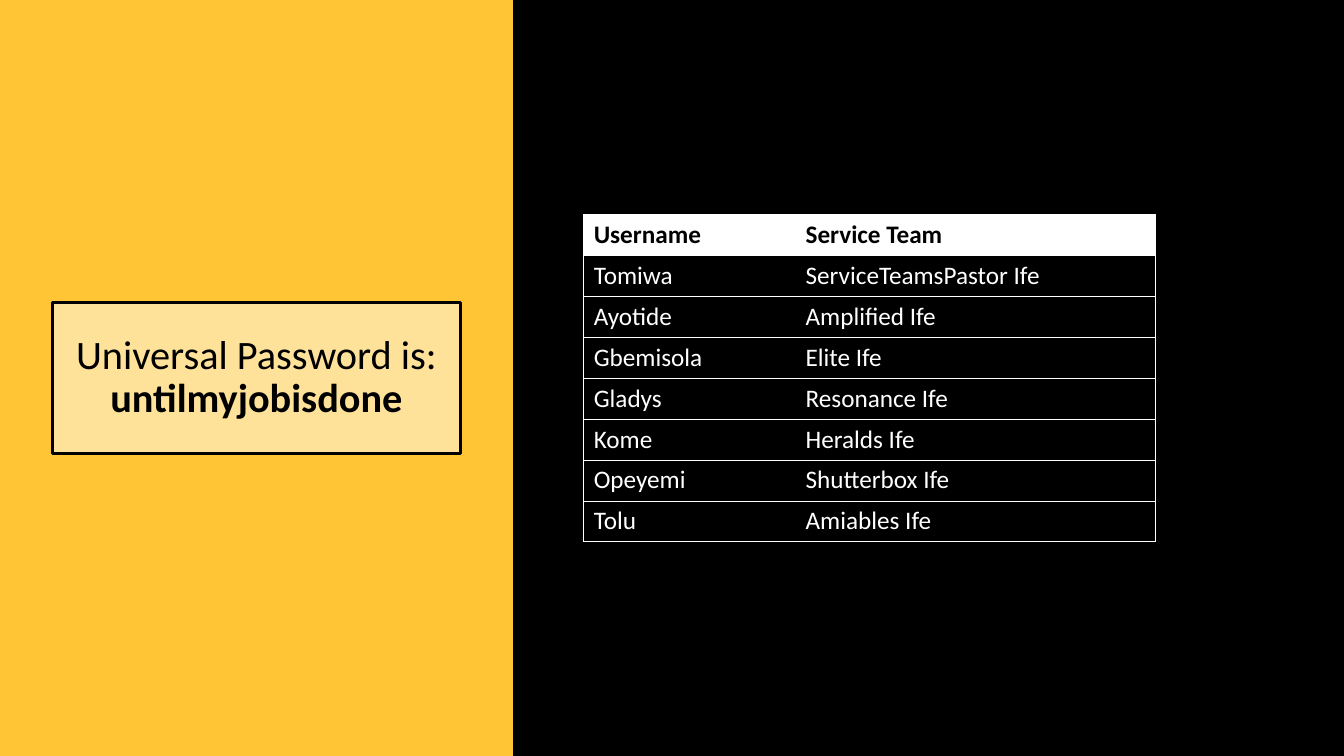
"""Build the slide with the universal password and the service team usernames."""
from lxml.etree import SubElement
from pptx import Presentation
from pptx.dml.color import RGBColor
from pptx.enum.shapes import MSO_SHAPE as Shape
from pptx.enum.text import MSO_ANCHOR as Anchor, MSO_AUTO_SIZE as AutoSize, PP_ALIGN as Align
from pptx.oxml import parse_xml
from pptx.oxml.ns import nsdecls, qn
from pptx.util import Cm, Pt

WIDTH, HEIGHT, PANEL_WIDTH = 33.87, 19.05, 12.93
TEAMS = [
    ("Username", "Service Team"),
    ("Tomiwa", "ServiceTeamsPastor Ife"),
    ("Ayotide", "Amplified Ife"),
    ("Gbemisola", "Elite Ife"),
    ("Gladys", "Resonance Ife"),
    ("Kome", "Heralds Ife"),
    ("Opeyemi", "Shutterbox Ife"),
    ("Tolu", "Amiables Ife"),
]


def colour(value):
    return RGBColor.from_string(value)


def paint(target, value):
    target.fill.solid()
    target.fill.fore_color.rgb = colour(value)


def write(paragraph, text, size=18, ink="000000", bold=False, font="Calibri"):
    run = paragraph.add_run()
    run.text = text
    run.font.name, run.font.size, run.font.bold = font, Pt(size), bold
    run.font.color.rgb = colour(ink)


def border(cell, visible_sides, ink):
    properties = cell._tc.get_or_add_tcPr()
    for index, side in enumerate("LRTB"):
        fill = f'<a:solidFill><a:srgbClr val="{ink}"/></a:solidFill>' if side in visible_sides else "<a:noFill/>"
        properties.insert(index, parse_xml(f'<a:ln{side} {nsdecls("a")} w="{Pt(0.5)}">{fill}</a:ln{side}>'))


class Deck:
    """Hold the style and the current slide."""

    black, white, yellow = "000000", "FFFFFF", "FFC535"

    def __init__(self):
        self.presentation = Presentation()
        self.presentation.slide_width, self.presentation.slide_height = Cm(WIDTH), Cm(HEIGHT)
        self.slide = self.presentation.slides.add_slide(self.presentation.slide_layouts[5])
        paint(self.slide.background, self.black)

    def panel(self, left, width, fill):
        panel = self.slide.shapes.add_shape(Shape.RECTANGLE, Cm(left), 0, Cm(width), Cm(HEIGHT))
        panel.shadow.inherit = False
        paint(panel, fill)
        panel.line.fill.background()
        self.slide.shapes.title.element.addprevious(panel.element)

    def title(self, left, top, width, height, label, password):
        title = self.slide.shapes.title
        title.left, title.top, title.width, title.height = map(Cm, (left, top, width, height))
        paint(title, self.white)
        tint = title.element.spPr.find(f'{qn("a:solidFill")}/{qn("a:srgbClr")}')
        SubElement(tint, qn("a:alpha"), val="50000")
        title.line.color.rgb, title.line.width = colour(self.black), Pt(2)
        frame = title.text_frame
        frame.word_wrap, frame.auto_size, frame.vertical_anchor = True, AutoSize.NONE, Anchor.MIDDLE
        paragraph = frame.paragraphs[0]
        paragraph.alignment, paragraph.line_spacing = Align.CENTER, 0.9
        write(paragraph, label, size=28.8)
        paragraph.add_line_break()
        write(paragraph, password, size=28.8, bold=True)

    def table(self, left, top, column_widths, row_height, rows):
        frame = self.slide.shapes.add_table(
            len(rows), len(column_widths), Cm(left), Cm(top),
            Cm(sum(column_widths)), Cm(row_height * len(rows)))
        table = frame.table
        table.horz_banding = False
        for column, width in zip(table.columns, column_widths):
            column.width = Cm(width)
        for row_index, (row, texts) in enumerate(zip(table.rows, rows)):
            row.height = Cm(row_height)
            header = row_index == 0
            for column_index, (cell, text) in enumerate(zip(row.cells, texts)):
                paint(cell, self.white if header else self.black)
                border(cell, "RTB" if column_index else "LTB", self.white)
                write(cell.text_frame.paragraphs[0], text,
                      ink=self.black if header else self.white, bold=header)


deck = Deck()
deck.panel(0, PANEL_WIDTH, deck.yellow)
deck.panel(PANEL_WIDTH, WIDTH - PANEL_WIDTH, deck.black)
deck.title(1.32, 7.62, 10.29, 3.8, "Universal Password is:", "untilmyjobisdone")
deck.table(14.71, 5.41, (5.34, 9.07), 1.03, TEAMS)
deck.presentation.save("out.pptx")
